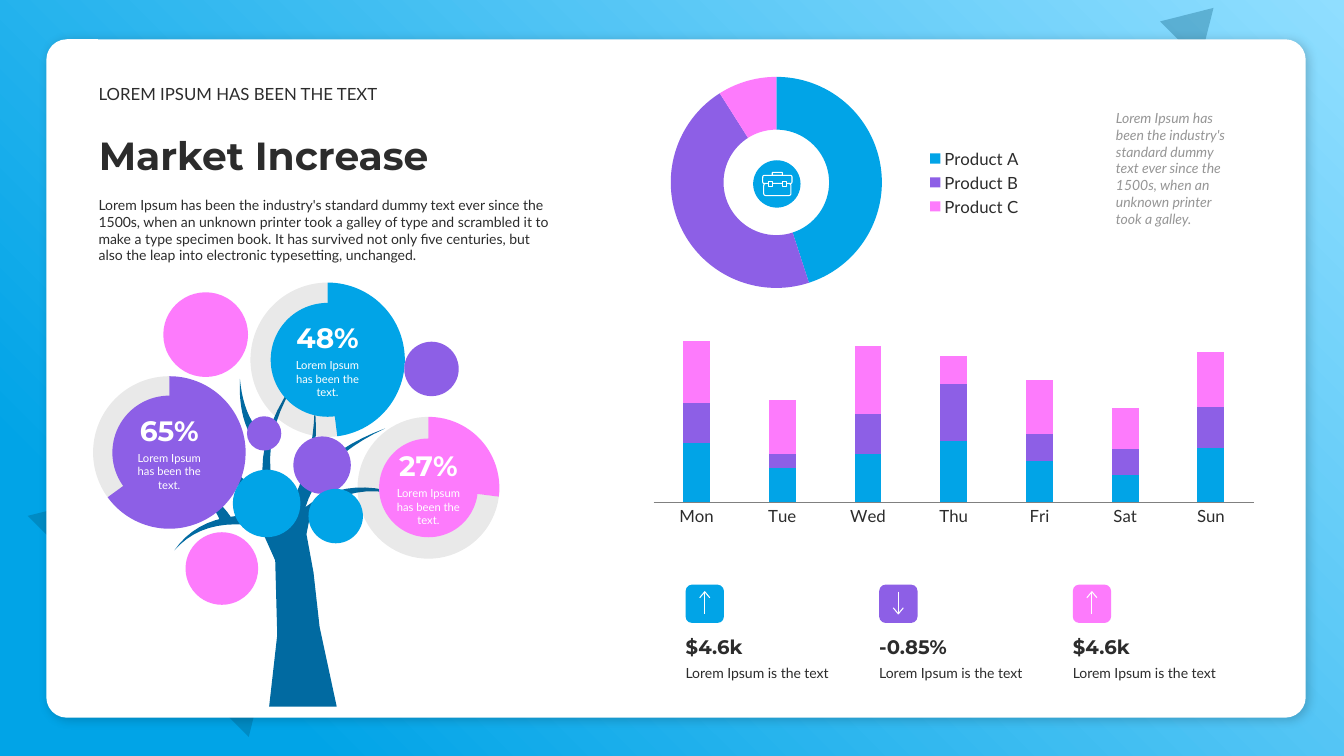
from pptx import Presentation
from pptx.chart.data import CategoryChartData
from pptx.dml.color import RGBColor
from pptx.enum.chart import XL_CHART_TYPE, XL_LEGEND_POSITION, XL_TICK_MARK
from pptx.enum.shapes import MSO_SHAPE
from pptx.enum.text import MSO_ANCHOR, MSO_AUTO_SIZE, PP_ALIGN
from pptx.oxml import parse_xml
from pptx.oxml.ns import nsdecls, qn
from pptx.util import Inches, Pt

RECT, ROUND, OVAL, TRIANGLE = (MSO_SHAPE.RECTANGLE, MSO_SHAPE.ROUNDED_RECTANGLE,
                               MSO_SHAPE.OVAL, MSO_SHAPE.ISOSCELES_TRIANGLE)
TOP, MIDDLE, BOTTOM = MSO_ANCHOR.TOP, MSO_ANCHOR.MIDDLE, MSO_ANCHOR.BOTTOM
LEFT, CENTER = PP_ALIGN.LEFT, PP_ALIGN.CENTER
FIT, FIXED = MSO_AUTO_SIZE.SHAPE_TO_FIT_TEXT, MSO_AUTO_SIZE.NONE
DOUGHNUT, STACKED = XL_CHART_TYPE.DOUGHNUT, XL_CHART_TYPE.COLUMN_STACKED
LEGEND_RIGHT, NO_TICK = XL_LEGEND_POSITION.RIGHT, XL_TICK_MARK.NONE

THEME = {
    "blue": "01A4E7", "purple": "8D5FE6", "pink": "FD7BFC", "sky": "90DEFF",
    "trunk": "016AA1", "deep": "005274", "ink": "2C2C2C", "white": "FFFFFF",
    "grey": "969696", "axis": "808080", "black": "000000",
    "title": ("Montserrat", 28, True, False, "ink"),
    "kicker": ("Lato", 12, False, False, "ink"),
    "body": ("Lato", 10, False, False, "ink"),
    "aside": ("Lato", 10, False, True, "grey"),
    "percent": ("Montserrat", 20, True, False, "white"),
    "caption": ("Lato", 8, False, False, "white"),
    "figure": ("Montserrat", 14, True, False, "ink"),
}
SERIES_COLORS = ("blue", "purple", "pink")

TITLE = "Market Increase"
KICKER = "LOREM IPSUM HAS BEEN THE TEXT"
INTRO = ("Lorem Ipsum has been the industry's standard dummy text ever since the 1500s, "
         "when an unknown printer took a galley of type and scrambled it to make a type "
         "specimen book. It has survived not only five centuries, but also the leap into "
         "electronic typesetting, unchanged.")
ASIDE = ("Lorem Ipsum has been the industry's standard dummy text ever since the 1500s, "
         "when an unknown printer took a galley.")
BUBBLE_TEXT = "Lorem Ipsum has been the text."
KPI_TEXT = "Lorem Ipsum is the text"
KPIS = [("$4.6k", "blue", True), ("-0.85%", "purple", False), ("$4.6k", "pink", True)]
PRODUCTS = {"Product A": 45, "Product B": 46, "Product C": 9}
DAYS = ("Mon", "Tue", "Wed", "Thu", "Fri", "Sat", "Sun")
DAY_SERIES = [(86, 50, 70, 90, 60, 40, 80), (60, 20, 60, 84, 40, 38, 60),
              (90, 80, 100, 40, 80, 60, 80)]
RINGS = [(65, "purple", 1.68, 4.49, 1.72, 1.13), (48, "blue", 3.25, 3.57, 1.74, 1.13),
         (27, "pink", 4.25, 4.84, 1.6, 0.98)]
LEAVES = [("pink", 1.84, 5.28, 0.72), ("blue", 2.31, 4.66, 0.67), ("purple", 2.91, 4.33, 0.57),
          ("pink", 1.62, 2.9, 0.84), ("blue", 3.06, 4.85, 0.54), ("purple", 4.01, 3.39, 0.54),
          ("purple", 2.45, 4.13, 0.34)]
TRUNK = [(2.67, 7.01), (2.75, 6.3), (2.73, 5.56), (2.6, 5.27), (2.7, 5.05),
         (3.08, 5.1), (3.04, 5.3), (3.11, 5.68), (3.17, 6.22), (3.34, 7.01)]
BRANCHES = [((2.75, 5.1), (2.45, 4.45), (2.98, 3.71)), ((2.62, 4.4), (2.39, 4.2), (2.38, 3.76)),
            ((2.7, 5.15), (2.35, 4.6), (1.65, 4.34)), ((2.25, 5.18), (2.15, 4.95), (1.8, 4.76)),
            ((2.75, 5.2), (2.05, 5.05), (1.73, 5.46)), ((2.9, 5.1), (3.15, 4.6), (3.12, 4.01)),
            ((2.95, 5.1), (3.1, 4.55), (3.82, 4.25)), ((2.98, 5.15), (3.4, 4.72), (4.01, 4.92))]

prs = Presentation()
prs.slide_width, prs.slide_height = Inches(13.33), Inches(7.5)
s = prs.slides.add_slide(prs.slide_layouts[5])


def rgb(name):
    return RGBColor.from_string(THEME[name])


def paint(fill, color, alpha=None):
    fill.solid()
    fill.fore_color.rgb = rgb(color)
    if alpha:
        clr = fill._xPr.find(".//" + qn("a:srgbClr"))
        clr.append(parse_xml(f'<a:alpha {nsdecls("a")} val="{alpha * 1000}"/>'))


def add_shape(kind, box, color, alpha=None):
    sp = s.shapes.add_shape(kind, *map(Inches, box))
    sp.shadow.inherit = False
    paint(sp.fill, color, alpha)
    sp.line.fill.background()
    return sp


def style_font(font, style):
    font.name, size, font.bold, font.italic, color = THEME[style]
    font.size = Pt(size)
    font.color.rgb = rgb(color)


def write(sp, lines, anchor=TOP, inset=0.1, align=LEFT, before=0, after=0, fit=FIT):
    tf = sp.text_frame
    tf.word_wrap, tf.auto_size, tf.vertical_anchor = True, fit, anchor
    tf.margin_left = tf.margin_right = Inches(inset)
    tf.text = "\n".join(text for text, style in lines)
    for p, (text, style) in zip(tf.paragraphs, lines):
        p.alignment, p.space_before, p.space_after = align, Pt(before), Pt(after)
        style_font(p.runs[0].font, style)


def add_text(box, text, style, **options):
    write(s.shapes.add_textbox(*map(Inches, box)), [(text, style)], **options)


def add_chart(kind, box, cats, rows, layout, style="body"):
    data = CategoryChartData()
    data.categories = cats
    for n, row in enumerate(rows, 1):
        data.add_series(f"Series {n}", row)
    chart = s.shapes.add_chart(kind, *map(Inches, box), data).chart
    chart.has_title = chart.has_legend = False
    style_font(chart.font, style)
    chart._chartSpace.chart.addnext(parse_xml(
        f'<c:spPr {nsdecls("c", "a")}><a:noFill/><a:ln><a:noFill/></a:ln></c:spPr>'))
    area = chart._chartSpace.chart.plotArea
    for old in area.findall(qn("c:layout")):
        area.remove(old)
    modes = '<c:layoutTarget val="inner"/><c:xMode val="edge"/><c:yMode val="edge"/>'
    sizes = "".join(f'<c:{k} val="{v}"/>' for k, v in zip("xywh", layout))
    area.insert(0, parse_xml(f'<c:layout {nsdecls("c")}><c:manualLayout>{modes}{sizes}'
                             '</c:manualLayout></c:layout>'))
    return chart


def add_doughnut(box, cats, vals, colors, hole, layout):
    chart = add_chart(DOUGHNUT, box, cats, [vals], layout)
    chart._chartSpace.find(".//" + qn("c:holeSize")).set("val", str(hole))
    for i, (color, alpha) in enumerate(colors):
        point = chart.plots[0].series[0].points[i]
        paint(point.format.fill, color, alpha)
        point.format.line.fill.background()
    return chart


def add_outline(points, color):
    start, *rest = [(Inches(x), Inches(y)) for x, y in points]
    fb = s.shapes.build_freeform(*start)
    fb.add_line_segments(rest, close=True)
    sp = fb.convert_to_shape()
    sp.shadow.inherit = False
    paint(sp.fill, color)
    sp.line.fill.background()


def branch_outline(base, bend, tip, width=0.12, steps=12):
    left, right = [], []
    for t in (n / steps for n in range(steps + 1)):
        x, y = ((1 - t) ** 2 * a + 2 * t * (1 - t) * b + t * t * c
                for a, b, c in zip(base, bend, tip))
        dx, dy = ((1 - t) * (b - a) + t * (c - b) for a, b, c in zip(base, bend, tip))
        reach = width * (1 - t) / 2 / (dx * dx + dy * dy) ** 0.5
        left.append((x - dy * reach, y + dx * reach))
        right.append((x + dy * reach, y - dx * reach))
    return left + right[::-1]


def add_arrow(x, tail, head):
    wing = head + (0.06 if tail > head else -0.06)
    fb = s.shapes.build_freeform(Inches(x), Inches(tail))
    fb.add_line_segments([(Inches(x), Inches(head))], close=False)
    fb.move_to(Inches(x - 0.05), Inches(wing))
    fb.add_line_segments([(Inches(x), Inches(head)), (Inches(x + 0.05), Inches(wing))],
                         close=False)
    sp = fb.convert_to_shape()
    sp.shadow.inherit = False
    sp.fill.background()
    sp.line.color.rgb, sp.line.width = rgb("white"), Pt(0.75)


backdrop = add_shape(RECT, (0, 0, 13.33, 7.5), "blue")
solid = backdrop._element.spPr.find(qn("a:solidFill"))
stops = "".join(f'<a:gs pos="{pos}000"><a:srgbClr val="{THEME[color]}"/></a:gs>'
                for pos, color in ((0, "sky"), (85, "blue")))
solid.getparent().replace(solid, parse_xml(
    f'<a:gradFill {nsdecls("a")}><a:gsLst>{stops}</a:gsLst><a:path path="circle">'
    '<a:fillToRect l="100000" b="100000"/></a:path></a:gradFill>'))
for box in ((0.73, 4.02, 3.1, 2.57), (11.59, 0.01, 0.56, 0.47)):
    add_shape(TRIANGLE, box, "deep", 30).rotation = 45
card = add_shape(ROUND, (0.46, 0.39, 12.49, 6.73), "white")
card.adjustments[0] = 0.03
card._element.spPr.find(qn("a:effectLst")).append(parse_xml(
    f'<a:outerShdw {nsdecls("a")} blurRad="{Pt(8)}" dist="{Pt(3)}" dir="2700000" algn="tl">'
    f'<a:srgbClr val="{THEME["black"]}"><a:alpha val="20000"/></a:srgbClr></a:outerShdw>'))

title = s.shapes.title
card._element.addnext(title._element)
title.left, title.top, title.width, title.height = map(Inches, (0.88, 1.25, 4.73, 0.57))
write(title, [(TITLE, "title")], anchor=BOTTOM, fit=FIXED)
add_text((0.88, 0.78, 4.73, 0.3), KICKER, "kicker", anchor=BOTTOM)
add_text((0.88, 1.9, 4.73, 0.77), INTRO, "body", after=6)
add_text((10.97, 1.03, 1.34, 1.28), ASIDE, "aside", anchor=MIDDLE, after=6)

for outline in [TRUNK] + [branch_outline(*branch) for branch in BRANCHES]:
    add_outline(outline, "trunk")
for share, color, cx, cy, w, size in RINGS:
    h = w * 0.92
    add_doughnut((cx - w / 2, cy - h / 2, w, h), ("1", "2"), (share, 100 - share),
                 ((color, None), ("ink", 10)), 80, (0.06, 0.02, 0.88, 0.96))
for color, x, y, size in LEAVES:
    add_shape(OVAL, (x, y, size, size), color)
for share, color, cx, cy, w, size in RINGS:
    write(add_shape(OVAL, (cx - size / 2, cy - size / 2, size, size), color),
          [(f"{share}%", "percent"), (BUBBLE_TEXT, "caption")],
          anchor=MIDDLE, inset=0, align=CENTER, before=3, fit=FIXED)

products = add_doughnut((6.24, 0.62, 4, 2.38), list(PRODUCTS), list(PRODUCTS.values()),
                        [(color, None) for color in SERIES_COLORS], 50,
                        (0.1, 0.06, 0.53, 0.88))
products.has_legend = True
products.legend.position = LEGEND_RIGHT
products.legend.include_in_layout = False
style_font(products.legend.font, "kicker")
add_shape(OVAL, (7.47, 1.59, 0.47, 0.47), "blue")
for w, y, h in ((0.1, 1.71, 0.03), (0.27, 1.82, 0.12), (0.29, 1.74, 0.08)):
    part = add_shape(ROUND, (7.71 - w / 2, y, w, h), "blue")
    part.line.color.rgb, part.line.width = rgb("white"), Pt(0.75)
for x in (7.62, 7.76):
    clasp = add_shape(RECT, (x, 1.8, 0.04, 0.05), "blue")
    clasp.line.color.rgb, clasp.line.width = rgb("white"), Pt(0.75)

week = add_chart(STACKED, (6.36, 3.05, 6.2, 2.22), DAYS, DAY_SERIES,
                 (0.02, 0.11, 0.96, 0.76), "kicker")
week.plots[0].gap_width, week.plots[0].overlap = 220, 100
for series, color in zip(week.plots[0].series, SERIES_COLORS):
    paint(series.format.fill, color)
week.value_axis.visible = week.value_axis.has_major_gridlines = False
week.value_axis.minimum_scale, week.value_axis.maximum_scale = 0, 250
week.category_axis.major_tick_mark = NO_TICK
week.category_axis.format.line.color.rgb = rgb("axis")
style_font(week.category_axis.tick_labels.font, "kicker")

for i, (figure, color, rising) in enumerate(KPIS):
    x = 6.8 + 1.92 * i
    add_shape(ROUND, (x, 5.8, 0.38, 0.38), color)
    add_arrow(x + 0.19, *((6.09, 5.87) if rising else (5.87, 6.09)))
    add_text((x, 6.24, 1.53, 0.34), figure, "figure", anchor=BOTTOM, inset=0)
    add_text((x, 6.54, 1.53, 0.27), KPI_TEXT, "body", inset=0)

prs.save("out.pptx")
